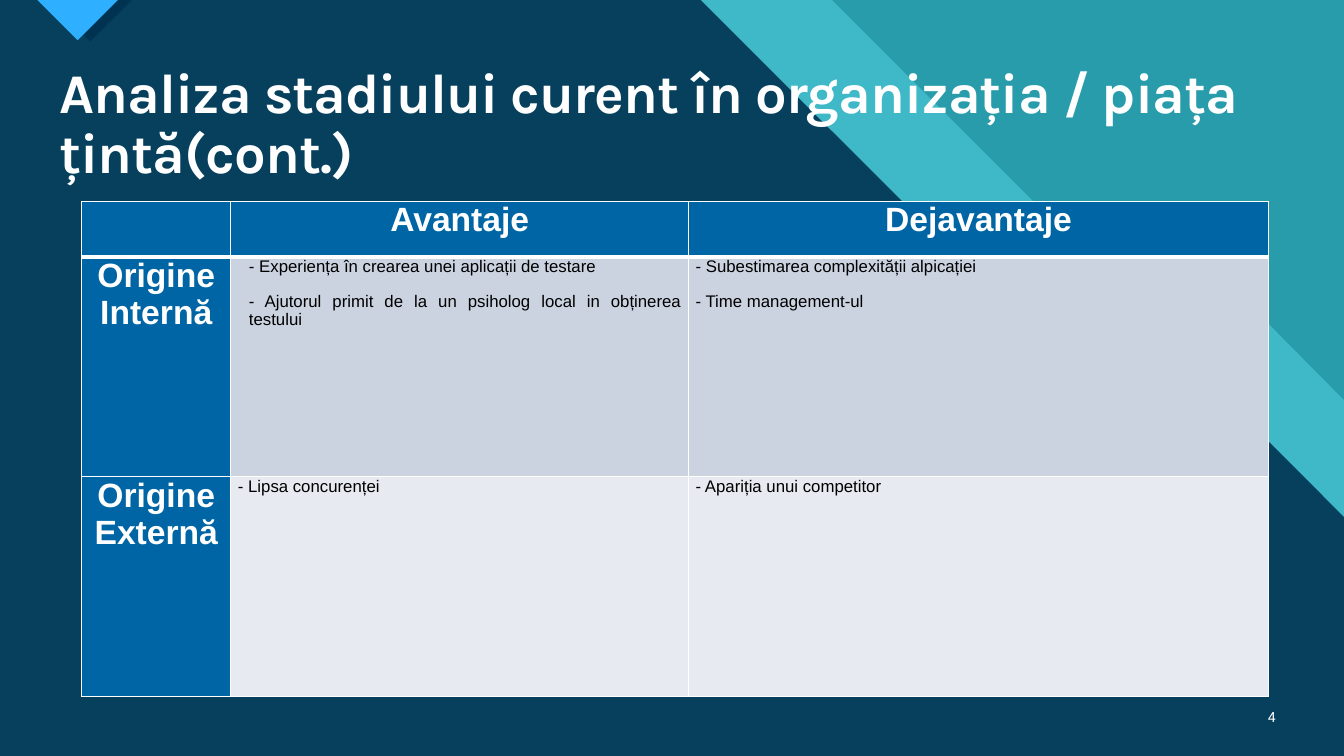
from dataclasses import dataclass

from lxml import etree
from pptx import Presentation
from pptx.dml.color import RGBColor
from pptx.enum.text import MSO_ANCHOR, PP_ALIGN
from pptx.oxml.ns import qn
from pptx.util import Inches, Pt

LEFT, CENTER, RIGHT = PP_ALIGN.LEFT, PP_ALIGN.CENTER, PP_ALIGN.RIGHT
JUSTIFY = PP_ALIGN.JUSTIFY
MIDDLE = MSO_ANCHOR.MIDDLE
WIDTH, HEIGHT = 13.33, 7.5


@dataclass(frozen=True)
class Theme:
    """Colours, fonts and type sizes of the slide."""
    teal: str = "299CAB"
    band: str = "47C3D3"
    navy: str = "003352"
    accent: str = "2FAFFF"
    header: str = "0065A4"
    rows: tuple = ("CCD3E0", "E7EAF0")
    white: str = "FFFFFF"
    black: str = "000000"
    title_font: str = "Karla"
    table_font: str = "Arial"
    number_font: str = "Roboto"
    title_size: float = 40
    head_size: float = 24
    body_size: float = 12
    number_size: float = 10


THEME = Theme()
HEADINGS = ["", "Avantaje", "Dejavantaje"]
ORIGINS = [
    ("Origine Internă",
     ["- Experiența în crearea unei aplicații de testare",
      "- Ajutorul primit de la un psiholog local in obținerea testului"],
     ["- Subestimarea complexității alpicației", "- Time management-ul"]),
    ("Origine Externă",
     ["- Lipsa concurenței"],
     ["- Apariția unui competitor"]),
]


def write_text(tf, lines, font, size, color, bold=False, align=LEFT,
               space=0, indent=0, line_spacing=None, tracking=None):
    """Fill a text frame with one formatted paragraph per line."""
    tf.word_wrap = True
    for i, line in enumerate(lines):
        p = tf.add_paragraph() if i else tf.paragraphs[0]
        p.alignment = align
        p.space_before = p.space_after = Pt(space)
        if line_spacing:
            p.line_spacing = line_spacing
        if indent:
            p._p.get_or_add_pPr().set("marL", str(Inches(indent)))
        r = p.add_run()
        r.text = line
        r.font.name, r.font.size, r.font.bold = font, Pt(size), bold
        r.font.color.rgb = RGBColor.from_string(color)
        if tracking:
            r._r.get_or_add_rPr().set("spc", str(round(tracking * 100)))


def add_polygon(s, points, color, opacity=100):
    """Draw a closed outline, given in inches, with a plain fill."""
    corners = [(Inches(x), Inches(y)) for x, y in points]
    builder = s.shapes.build_freeform(*corners[0])
    builder.add_line_segments(corners[1:], close=True)
    sp = builder.convert_to_shape()
    sp.shadow.inherit = False
    sp.line.fill.background()
    sp.fill.solid()
    sp.fill.fore_color.rgb = RGBColor.from_string(color)
    if opacity < 100:
        clr = sp._element.spPr.find(".//" + qn("a:srgbClr"))
        etree.SubElement(clr, qn("a:alpha")).set("val", str(opacity * 1000))


def add_backdrop(s):
    """Paint the teal ground, the diagonal bands and the corner triangle."""
    fill = s.background.fill
    fill.solid()
    fill.fore_color.rgb = RGBColor.from_string(THEME.teal)
    bands = [(8.25, 11.22, 12.34, 3.97, THEME.band, 74),
             (6.95, 9.92, 11.18, 5.13, THEME.navy, 90)]
    for top_x, step_x, step_end, right_y, color, opacity in bands:
        add_polygon(s, [(0, 0), (top_x, 0), (step_x, 2.97), (step_end, 2.97),
                        (WIDTH, right_y), (WIDTH, HEIGHT), (0, HEIGHT)],
                    color, opacity)
    for left, right, depth, color in [(0.48, 1.31, 0.41, THEME.navy),
                                      (0.37, 1.17, 0.4, THEME.accent)]:
        add_polygon(s, [(left, 0), (right, 0), ((left + right) / 2, depth)],
                    color)


def add_title(s, text):
    """Place the title placeholder in front of the backdrop."""
    sp = s.shapes.title
    sp.left, sp.top = Inches(0.49), Inches(0.59)
    sp.width, sp.height = Inches(12.26), Inches(1.31)
    sp._element.getparent().append(sp._element)
    sp.text_frame.vertical_anchor = MIDDLE
    write_text(sp.text_frame, [text], THEME.title_font, THEME.title_size,
               THEME.white, bold=True, line_spacing=0.9, tracking=-0.7)


def add_number(s, number):
    """Write the slide number at the bottom right."""
    sp = s.shapes.add_textbox(Inches(12.31), Inches(6.91),
                              Inches(0.44), Inches(0.4))
    sp.text_frame.vertical_anchor = MIDDLE
    write_text(sp.text_frame, [number], THEME.number_font, THEME.number_size,
               THEME.white, align=RIGHT)


def style_cell(cell, color, top=1, bottom=1):
    """Give a cell its margins, white borders and fill."""
    cell.margin_left = cell.margin_right = Inches(0.07)
    cell.margin_top = cell.margin_bottom = 0
    tcPr = cell._tc.get_or_add_tcPr()
    for side, weight in zip("LRTB", (1, 1, top, bottom)):
        ln = etree.SubElement(tcPr, qn("a:ln" + side), w=str(Pt(weight)))
        line_fill = etree.SubElement(ln, qn("a:solidFill"))
        etree.SubElement(line_fill, qn("a:srgbClr"), val=THEME.white)
    cell.fill.solid()
    cell.fill.fore_color.rgb = RGBColor.from_string(color)


def add_heading(cell, text, **borders):
    """Fill a heading cell of the top row or the first column."""
    style_cell(cell, THEME.header, **borders)
    if text:
        write_text(cell.text_frame, [text], THEME.table_font, THEME.head_size,
                   THEME.white, bold=True, align=CENTER, space=5.7)


def add_origin_table(s):
    """Build the table of advantages and drawbacks by origin."""
    widths, heights = [1.48, 4.54, 5.75], [0.55, 2.18, 2.18]
    table = s.shapes.add_table(
        len(heights), len(widths), Inches(0.81), Inches(2),
        Inches(sum(widths)), Inches(sum(heights))).table
    for column, width in zip(table.columns, widths):
        column.width = Inches(width)
    for row, height in zip(table.rows, heights):
        row.height = Inches(height)
    for c, heading in enumerate(HEADINGS):
        add_heading(table.cell(0, c), heading, bottom=3)
    for r, (origin, *points) in enumerate(ORIGINS, 1):
        top = 3 if r == 1 else 1
        add_heading(table.cell(r, 0), origin, top=top)
        for c, lines in enumerate(points, 1):
            cell = table.cell(r, c)
            style_cell(cell, THEME.rows[r - 1], top=top)
            write_text(cell.text_frame, lines, THEME.table_font,
                       THEME.body_size, THEME.black, align=JUSTIFY, space=5.7,
                       indent=0.11 if (r, c) == (1, 1) else 0)


def main():
    """Build and save the slide."""
    prs = Presentation()
    prs.slide_width, prs.slide_height = Inches(WIDTH), Inches(HEIGHT)
    s = prs.slides.add_slide(prs.slide_layouts[5])
    add_backdrop(s)
    add_title(s, "Analiza stadiului curent în organizația / piața țintă(cont.)")
    add_number(s, "4")
    add_origin_table(s)
    prs.save("out.pptx")


main()
